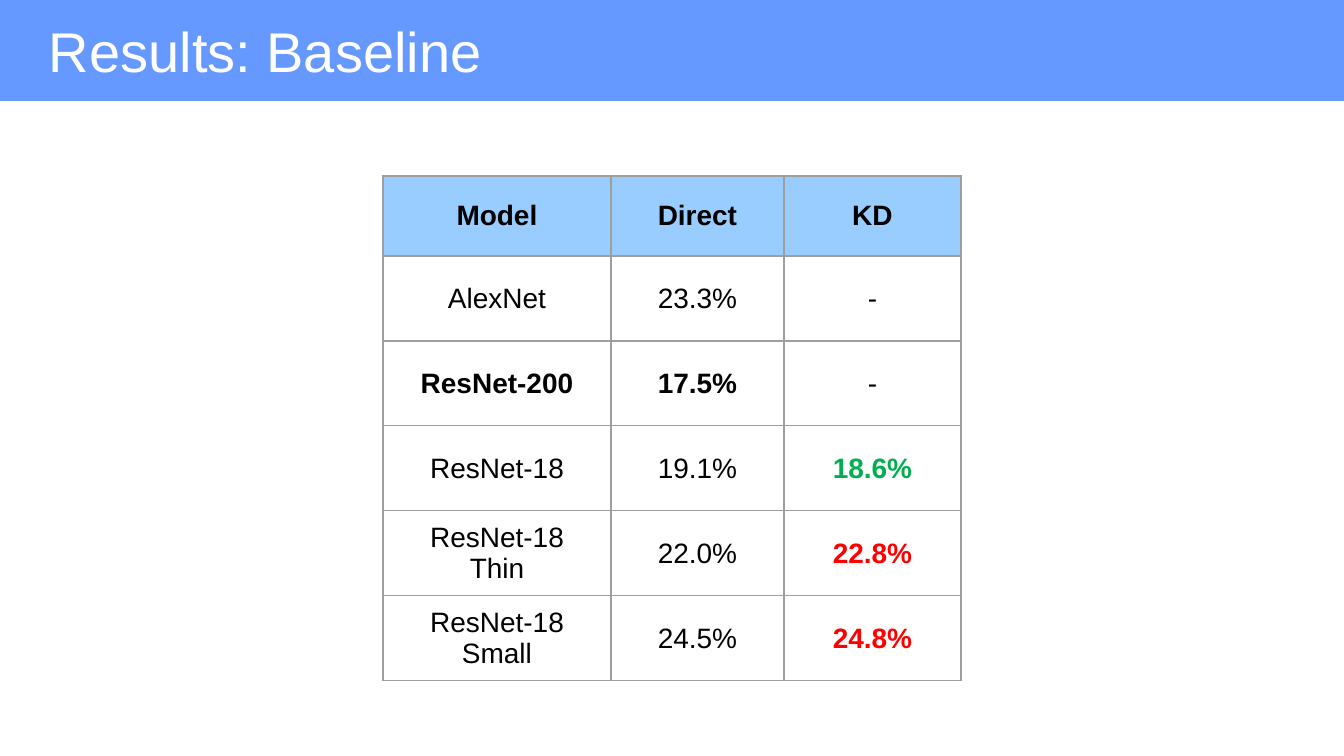
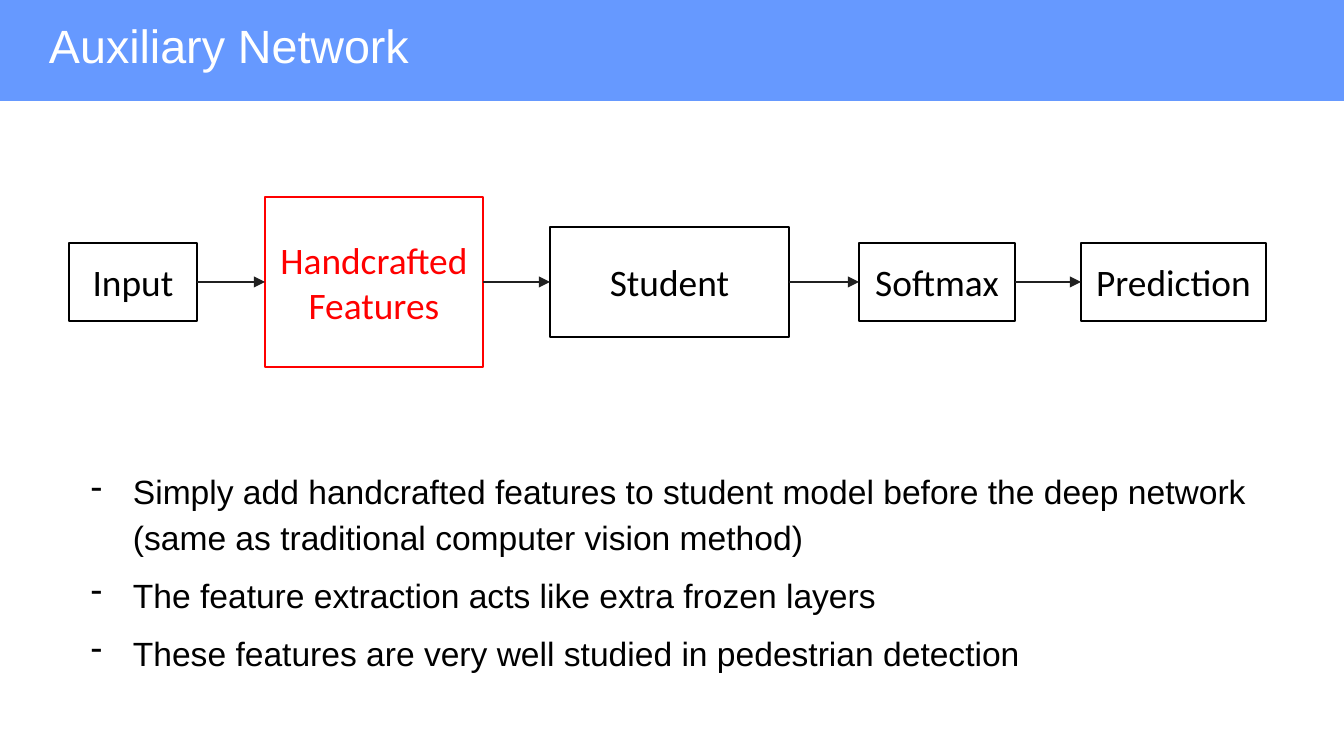
import lxml.etree
import pptx
import pptx.dml.color
import pptx.enum.shapes
import pptx.enum.text
import pptx.oxml.ns
import pptx.util
from dataclasses import dataclass


# Theme
@dataclass(frozen=True)
class Theme:
    band: str = "6699FF"
    header: str = "99CCFF"
    white: str = "FFFFFF"
    black: str = "000000"
    red: str = "FF0000"
    green: str = "00B050"
    grid: str = "9E9E9E"
    arrow: str = "202020"
    sans: str = "Arial"
    diagram: str = "Calibri"
    title_size: int = 30
    small_title_size: int = 25
    table_size: int = 15
    diagram_size: int = 20
    body_size: int = 18


THEME = Theme()
PX_PER_INCH = 134.4
SLIDE_WIDTH, SLIDE_HEIGHT = 1344, 756

# Content: "\n" starts a paragraph, "\v" breaks a line
RESULTS_TITLE = "Results: Baseline"
RESULTS = [
    ["Model", "Direct", "KD"],
    ["AlexNet", "23.3%", "-"],
    ["ResNet-200", "17.5%", "-"],
    ["ResNet-18", "19.1%", "18.6%"],
    ["ResNet-18\nThin", "22.0%", "22.8%"],
    ["ResNet-18\vSmall", "24.5%", "24.8%"],
]
BOLD_TEXTS = {"ResNet-200", "17.5%"}
KD_COLORS = {"18.6%": THEME.green, "22.8%": THEME.red, "24.8%": THEME.red}
RESULTS_LEFT, RESULTS_TOP = 383, 176
COLUMN_WIDTHS = [228, 173, 177]
HEADER_HEIGHT, ROW_HEIGHT = 80, 85

NETWORK_TITLE = "Auxiliary Network"
FLOW_MIDDLE = 282
STAGES = [  # label, left, width, height, colour
    ("Input", 69, 128, 78, THEME.black),
    ("Handcrafted Features", 265, 218, 170, THEME.red),
    ("Student", 550, 239, 110, THEME.black),
    ("Softmax", 859, 156, 78, THEME.black),
    ("Prediction", 1081, 185, 78, THEME.black),
]
POINTS = [
    "Simply add handcrafted features to student model before the deep network "
    "(same as traditional computer vision method)",
    "The feature extraction acts like extra frozen layers",
    "These features are very well studied in pedestrian detection",
]


# Helpers
def px(length):
    return pptx.util.Emu(round(length * 914400 / PX_PER_INCH))


def box(left, top, width, height):
    return px(left), px(top), px(width), px(height)


def rgb(color):
    return pptx.dml.color.RGBColor.from_string(color)


def add_xml(parent, tag, **attributes):
    return lxml.etree.SubElement(parent, pptx.oxml.ns.qn(tag), attributes)


def add_run(paragraph, text, size, color, font, bold=False):
    run = paragraph.add_run()
    run.text = text
    run.font.size = pptx.util.Pt(size)
    run.font.name = font
    run.font.bold = bold
    run.font.color.rgb = rgb(color)


def set_frame(frame, margin):
    frame.word_wrap = True
    frame.auto_size = pptx.enum.text.MSO_AUTO_SIZE.NONE
    frame.vertical_anchor = pptx.enum.text.MSO_ANCHOR.TOP
    frame.margin_left = frame.margin_right = px(margin)
    frame.margin_top = frame.margin_bottom = px(margin)


def add_rectangle(slide, left, top, width, height):
    shape = slide.shapes.add_shape(
        pptx.enum.shapes.MSO_SHAPE.RECTANGLE, *box(left, top, width, height))
    shape.shadow.inherit = False
    return shape


# Shared slide frame: band and title
def add_slide(presentation, text, size, top):
    slide = presentation.slides.add_slide(presentation.slide_layouts[5])
    title = slide.shapes.title
    band = add_rectangle(slide, 0, -7, SLIDE_WIDTH, 108)
    band.fill.solid()
    band.fill.fore_color.rgb = rgb(THEME.band)
    band.line.fill.background()
    title.element.addprevious(band.element)

    title.left, title.top, title.width, title.height = box(36, top, 1253, 85)
    set_frame(title.text_frame, 13)
    paragraph = title.text_frame.paragraphs[0]
    paragraph.alignment = pptx.enum.text.PP_ALIGN.LEFT
    add_run(paragraph, text, size, THEME.white, THEME.sans)
    return slide


# Results table
def fill_cell(cell, text, is_header):
    properties = cell._tc.get_or_add_tcPr()
    for side in ("a:lnL", "a:lnR", "a:lnT", "a:lnB"):
        border = add_xml(properties, side, w=str(pptx.util.Pt(0.75)))
        add_xml(add_xml(border, "a:solidFill"), "a:srgbClr", val=THEME.grid)
    if is_header:
        cell.fill.solid()
        cell.fill.fore_color.rgb = rgb(THEME.header)
    else:
        cell.fill.background()
    cell.vertical_anchor = pptx.enum.text.MSO_ANCHOR.MIDDLE

    bold = is_header or text in BOLD_TEXTS or text in KD_COLORS
    color = KD_COLORS.get(text, THEME.black)
    frame = cell.text_frame
    for number, part in enumerate(text.split("\n")):
        paragraph = frame.add_paragraph() if number else frame.paragraphs[0]
        paragraph.alignment = pptx.enum.text.PP_ALIGN.CENTER
        for line_number, line in enumerate(part.split("\v")):
            if line_number:
                paragraph.add_line_break()
            add_run(paragraph, line, THEME.table_size, color, THEME.sans, bold)


def add_results(slide):
    heights = [HEADER_HEIGHT] + [ROW_HEIGHT] * (len(RESULTS) - 1)
    table = slide.shapes.add_table(
        len(RESULTS), len(COLUMN_WIDTHS),
        *box(RESULTS_LEFT, RESULTS_TOP, sum(COLUMN_WIDTHS), sum(heights))).table
    table.first_row = table.horz_banding = False
    for column, width in zip(table.columns, COLUMN_WIDTHS):
        column.width = px(width)
    for row_number, (row, height) in enumerate(zip(table.rows, heights)):
        row.height = px(height)
        for cell, text in zip(row.cells, RESULTS[row_number]):
            fill_cell(cell, text, row_number == 0)


# Network flow
def add_stage(slide, label, left, width, height, color):
    stage = add_rectangle(slide, left, FLOW_MIDDLE - height // 2, width, height)
    stage.fill.background()
    stage.line.color.rgb = rgb(color)
    stage.line.width = pptx.util.Pt(1)
    frame = stage.text_frame
    frame.word_wrap = True
    frame.vertical_anchor = pptx.enum.text.MSO_ANCHOR.MIDDLE
    paragraph = frame.paragraphs[0]
    paragraph.alignment = pptx.enum.text.PP_ALIGN.CENTER
    add_run(paragraph, label, THEME.diagram_size, color, THEME.diagram)
    return stage


def add_arrow(slide, source, target):
    arrow = slide.shapes.add_connector(
        pptx.enum.shapes.MSO_CONNECTOR.STRAIGHT, 0, 0, 0, 0)
    arrow.begin_connect(source, 3)
    arrow.end_connect(target, 1)
    arrow.line.color.rgb = rgb(THEME.arrow)
    arrow.line.width = pptx.util.Pt(1.25)
    properties = arrow.element.spPr
    add_xml(properties.find(pptx.oxml.ns.qn("a:ln")), "a:tailEnd", type="triangle")
    add_xml(properties, "a:effectLst")


def add_flow(slide):
    stages = [add_stage(slide, *stage) for stage in STAGES]
    for source, target in zip(stages, stages[1:]):
        add_arrow(slide, source, target)


# Dashed list
def add_points(slide):
    frame = slide.shapes.add_textbox(*box(45, 452, 1253, 231)).text_frame
    set_frame(frame, 13)
    for number, text in enumerate(POINTS):
        paragraph = frame.add_paragraph() if number else frame.paragraphs[0]
        properties = paragraph._p.get_or_add_pPr()
        properties.set("marL", str(px(75)))
        properties.set("indent", str(px(-42)))
        add_xml(add_xml(properties, "a:buClr"), "a:srgbClr", val=THEME.black)
        add_xml(properties, "a:buChar", char="-")
        paragraph.line_spacing = 1.15
        if number:
            paragraph.space_before = pptx.util.Pt(6)
        add_run(paragraph, text, THEME.body_size, THEME.black, THEME.sans)


def main():
    presentation = pptx.Presentation()
    presentation.slide_width = px(SLIDE_WIDTH)
    presentation.slide_height = px(SLIDE_HEIGHT)

    add_results(add_slide(presentation, RESULTS_TITLE, THEME.title_size, 3))

    network = add_slide(presentation, NETWORK_TITLE, THEME.small_title_size, 4)
    add_points(network)
    add_flow(network)

    presentation.save("out.pptx")


if __name__ == "__main__":
    main()
